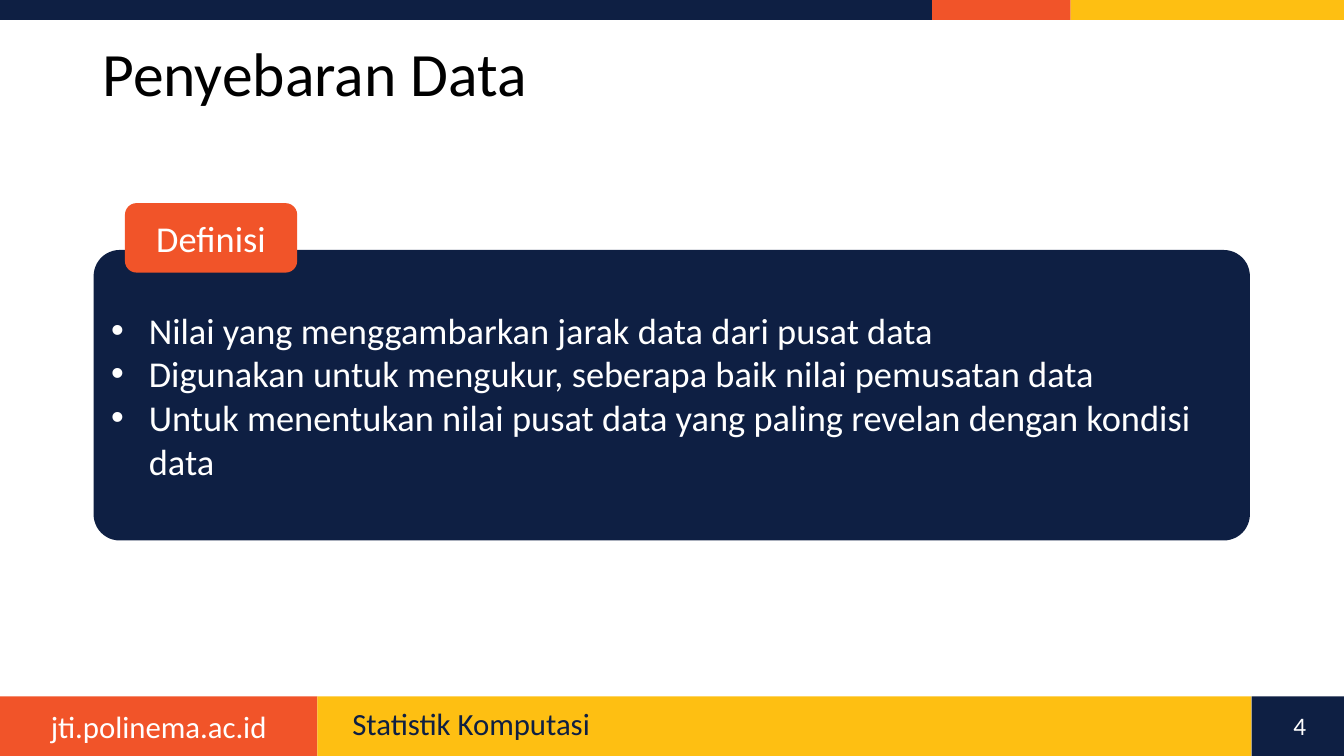
import pptx
import pptx.dml.color
import pptx.enum.shapes
import pptx.enum.text
import pptx.util
import lxml.etree

Cm = pptx.util.Cm
RGB = pptx.dml.color.RGBColor
Kind = pptx.enum.shapes.MSO_SHAPE
Align = pptx.enum.text.PP_ALIGN
Mid = pptx.enum.text.MSO_ANCHOR.MIDDLE

NAVY = RGB(0x0E, 0x1F, 0x43)
CORAL = RGB(0xF1, 0x54, 0x29)
GOLD = RGB(0xFE, 0xBF, 0x12)
WHITE = RGB(255, 255, 255)
BLACK = RGB(0, 0, 0)
WIDE = 33.87
HIGH = 19.05
FOOT = 17.55

FRAME = {"word_wrap": True, "vertical_anchor": Mid,
         "auto_size": pptx.enum.text.MSO_AUTO_SIZE.NONE}


def apply(item, form):
    for name, value in form.items():
        setattr(item, name, value)


def write(shape, lines, size, color, align=Align.LEFT, **form):
    frame = shape.text_frame
    apply(frame, FRAME)
    frame.text = "\n".join(lines)
    for para in frame.paragraphs:
        apply(para, {"alignment": align, **form})
        for run in para.runs:
            apply(run.font, {"name": "Calibri", "size": pptx.util.Pt(size)})
            run.font.color.rgb = color


def block(slide, kind, box, fill, round=None):
    shape = slide.shapes.add_shape(kind, *map(Cm, box))
    shape.shadow.inherit = False
    shape.fill.solid()
    shape.fill.fore_color.rgb = fill
    shape.line.fill.background()
    if round is not None:
        shape.adjustments[0] = round
    return shape


def band(slide, top, high, parts):
    left = 0
    for right, fill in parts:
        block(slide, Kind.RECTANGLE, (left, top, right - left, high), fill)
        left = right


def label(slide, box, text, size, color, align=Align.LEFT, **form):
    shape = slide.shapes.add_textbox(*map(Cm, box))
    write(shape, [text], size, color, align, **form)


def bullet(shape, indent):
    for para in shape.text_frame.paragraphs:
        props = para._p.get_or_add_pPr()
        props.set("marL", str(Cm(indent)))
        props.set("indent", str(-Cm(indent)))
        for tag, key, value in (("a:buFont", "typeface", "Arial"),
                                ("a:buChar", "char", "•")):
            mark = lxml.etree.SubElement(props, pptx.oxml.ns.qn(tag))
            mark.set(key, value)


def head(slide, text):
    title = slide.shapes.title
    apply(title, {"left": Cm(2.33), "top": Cm(1.02),
                  "width": Cm(26), "height": Cm(1.8)})
    write(title, [text], 44, BLACK, line_spacing=0.9)


def main():
    deck = pptx.Presentation()
    apply(deck, {"slide_width": Cm(WIDE), "slide_height": Cm(HIGH)})
    slide = deck.slides.add_slide(deck.slide_layouts[5])

    band(slide, 0, 0.5, [(23.49, NAVY), (26.98, CORAL), (WIDE, GOLD)])
    band(slide, FOOT, HIGH - FOOT, [(8, CORAL), (31.54, GOLD), (WIDE, NAVY)])
    label(slide, (0, 17.7, 8, 1.2), "jti.polinema.ac.id", 22, WHITE, Align.CENTER)
    label(slide, (8.63, 17.78, 22.2, 1.02), "Statistik Komputasi", 22, NAVY,
          line_spacing=0.9)
    label(slide, (31.98, 17.78, 1.55, 1.02), "4", 18, WHITE, Align.CENTER)

    head(slide, "Penyebaran Data")
    panel = block(slide, Kind.ROUNDED_RECTANGLE, (2.36, 6.3, 29.14, 7.32), NAVY, 0.09)
    write(panel, [
        "Nilai yang menggambarkan jarak data dari pusat data",
        "Digunakan untuk mengukur, seberapa baik nilai pemusatan data",
        "Untuk menentukan nilai pusat data yang paling revelan dengan kondisi data",
    ], 26, WHITE)
    bullet(panel, 0.95)
    badge = block(slide, Kind.ROUNDED_RECTANGLE, (3.15, 5.12, 4.34, 1.75), CORAL)
    write(badge, ["Definisi"], 26, WHITE, Align.CENTER)

    deck.save("out.pptx")


if __name__ == "__main__":
    main()
